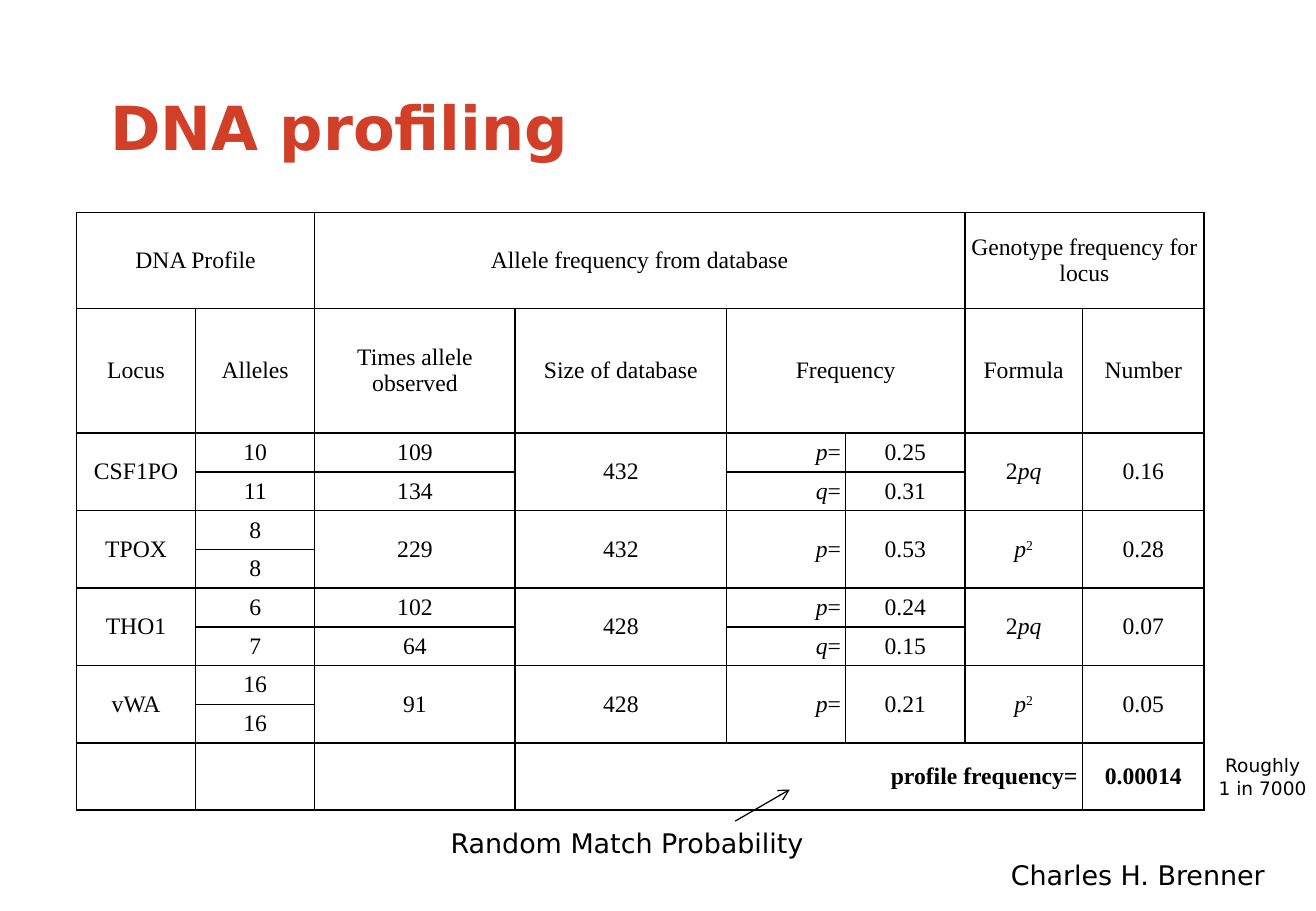
import pptx
import pptx.util
import pptx.dml.color
import pptx.enum.text
import pptx.enum.shapes
import pptx.oxml.ns
import lxml.etree

Cm, Pt = pptx.util.Cm, pptx.util.Pt
ALIGN = pptx.enum.text.PP_ALIGN
MIDDLE = pptx.enum.text.MSO_ANCHOR.MIDDLE

THEME = {
    "sans": "DejaVu Sans", "serif": "Times New Roman",
    "red": "D13F28", "black": "000000",
    "title": 36, "body": 14, "label": 16, "note": 11,
    "border": 1, "arrow": 0.75,
}

# Runs are (text, style)
PAIR = (("2", ""), ("pq", "italic"))
SQUARE = (("p", "italic"), ("2", "super"))

# (text, first column, columns spanned)
GROUPS = [
    ("DNA Profile", 0, 2),
    ("Allele frequency from database", 2, 4),
    ("Genotype frequency for locus", 6, 2),
]
HEADS = [
    ("Locus", 0, 1), ("Alleles", 1, 1), ("Times allele observed", 2, 1),
    ("Size of database", 3, 1), ("Frequency", 4, 2),
    ("Formula", 6, 1), ("Number", 7, 1),
]
# locus, alleles, times observed, database size, frequencies, formula, number
LOCI = [
    ("CSF1PO", ("10", "11"), ("109", "134"), "432", ("0.25", "0.31"), PAIR, "0.16"),
    ("TPOX", ("8", "8"), ("229",), "432", ("0.53",), SQUARE, "0.28"),
    ("THO1", ("6", "7"), ("102", "64"), "428", ("0.24", "0.15"), PAIR, "0.07"),
    ("vWA", ("16", "16"), ("91",), "428", ("0.21",), SQUARE, "0.05"),
]
TOTAL = ("profile frequency=", "0.00014")

COLS = [2.49, 2.49, 4.19, 4.42, 2.49, 2.49, 2.46, 2.54]
ROWS = [2.01, 2.61] + [0.81] * 2 * len(LOCI) + [1.4]
LEFT, TOP, INSET = 1.6, 4.44, 0.1

# text, box (left, top, width, height), size, align
LABELS = [
    ("Charles H. Brenner", (20.88, 17.83, 5.97, 0.94), "label", ALIGN.LEFT),
    ("Random Match Probability", (9.17, 17.17, 7.98, 0.94), "label", ALIGN.LEFT),
    ("Roughly\v1 in 7000", (25.2, 15.65, 2.39, 1.19), "note", ALIGN.CENTER),
]
ARROW = (15.37, 17.17, 16.51, 16.51)


def style(run, face, size, color="black", bold=False):
    run.font.name = THEME[face]
    run.font.size = Pt(THEME[size])
    run.font.bold = bold
    run.font.color.rgb = pptx.dml.color.RGBColor.from_string(THEME[color])


def label(slide, text, box, size, align=ALIGN.LEFT, color="black", bold=False):
    frame = slide.shapes.add_textbox(*map(Cm, box)).text_frame
    frame.word_wrap = False
    para = frame.paragraphs[0]
    para.text = text
    para.alignment = align
    for run in para.runs:
        style(run, "sans", size, color, bold)
    return frame


def frame_cell(cell):
    """Give a cell its insets, four borders and an empty fill."""
    cell.margin_left = cell.margin_right = Cm(INSET)
    cell.margin_top = cell.margin_bottom = Cm(INSET)
    cell.vertical_anchor = MIDDLE
    qn = pptx.oxml.ns.qn
    props = cell._tc.get_or_add_tcPr()
    for side in "LRTB":
        line = lxml.etree.SubElement(
            props, qn("a:ln" + side), w=str(Pt(THEME["border"])))
        fill = lxml.etree.SubElement(line, qn("a:solidFill"))
        lxml.etree.SubElement(fill, qn("a:srgbClr"), val=THEME["black"])
    cell.fill.background()


def put(table, row, col, runs, high=1, wide=1, align=ALIGN.CENTER, bold=False):
    cell = table.cell(row, col)
    if high * wide > 1:
        cell.merge(table.cell(row + high - 1, col + wide - 1))
    para = cell.text_frame.paragraphs[0]
    para.alignment = align
    for text, kind in ([(runs, "")] if isinstance(runs, str) else runs):
        run = para.add_run()
        run.text = text
        style(run, "serif", "body", bold=bold)
        run.font.italic = kind == "italic"
        if kind == "super":
            run._r.get_or_add_rPr().set("baseline", "30000")


def stack(table, row, col, items, align=ALIGN.CENTER):
    """Share the two rows of a locus among one or two items."""
    high = 2 // len(items)
    for k, item in enumerate(items):
        put(table, row + k * high, col, item, high, align=align)


def profile(slide):
    table = slide.shapes.add_table(
        len(ROWS), len(COLS), Cm(LEFT), Cm(TOP),
        Cm(sum(COLS)), Cm(sum(ROWS))).table
    table.first_row = table.horz_banding = False
    for col, width in zip(table.columns, COLS):
        col.width = Cm(width)
    for row, height in zip(table.rows, ROWS):
        row.height = Cm(height)
    for cell in table.iter_cells():
        frame_cell(cell)

    for row, heads in enumerate((GROUPS, HEADS)):
        for text, col, wide in heads:
            put(table, row, col, text, wide=wide)
    for n, (locus, alleles, times, size, freqs, formula, number) in enumerate(LOCI):
        row = 2 + 2 * n
        signs = [((name, "italic"), ("=", "")) for name, _ in zip("pq", freqs)]
        columns = ([locus], alleles, times, [size], signs, freqs, [formula], [number])
        for col, items in enumerate(columns):
            align = ALIGN.RIGHT if items is signs else ALIGN.CENTER
            stack(table, row, col, items, align)
    last = len(ROWS) - 1
    put(table, last, 3, TOTAL[0], wide=4, align=ALIGN.RIGHT, bold=True)
    put(table, last, 7, TOTAL[1], bold=True)


def arrow(slide):
    line = slide.shapes.add_connector(
        pptx.enum.shapes.MSO_CONNECTOR.STRAIGHT, *map(Cm, ARROW))
    line.line.width = Pt(THEME["arrow"])
    line.line.color.rgb = pptx.dml.color.RGBColor.from_string(THEME["black"])
    qn = pptx.oxml.ns.qn
    lxml.etree.SubElement(line.line._get_or_add_ln(), qn("a:tailEnd"), type="arrow")
    lxml.etree.SubElement(line._element.spPr, qn("a:effectLst"))


def main():
    deck = pptx.Presentation()
    deck.slide_width, deck.slide_height = Cm(27.51), Cm(19.05)
    slide = deck.slides.add_slide(deck.slide_layouts[6])
    title = label(slide, "DNA profiling", (2.06, 1.7, 23.39, 1.9),
                  "title", color="red", bold=True)
    title.word_wrap = True
    title.vertical_anchor = MIDDLE
    profile(slide)
    for text, box, size, align in LABELS:
        frame = label(slide, text, box, size, align)
        frame.auto_size = pptx.enum.text.MSO_AUTO_SIZE.SHAPE_TO_FIT_TEXT
    arrow(slide)
    deck.save("out.pptx")


if __name__ == "__main__":
    main()
